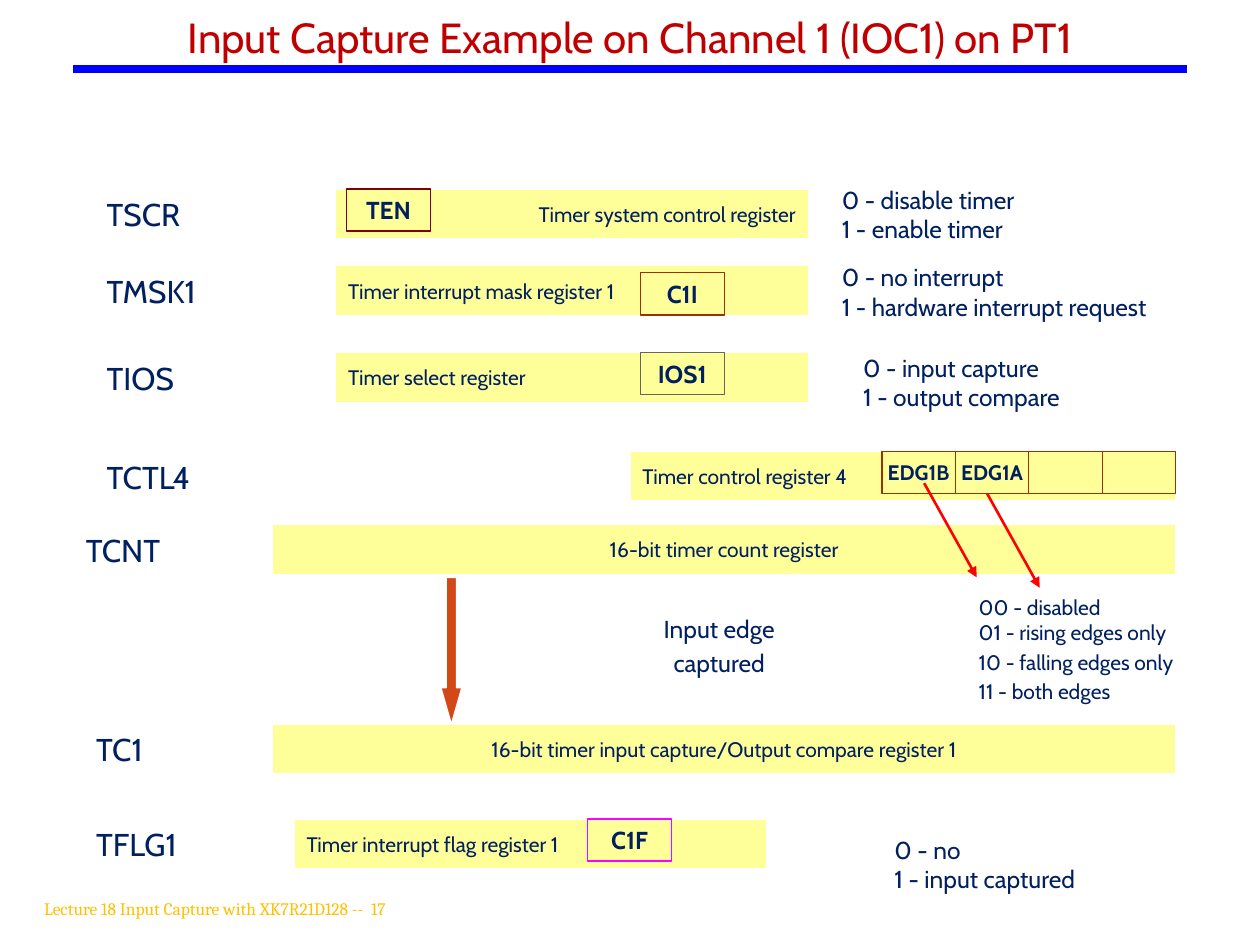
from lxml.etree import SubElement
from pptx import Presentation
from pptx.dml.color import RGBColor
from pptx.enum.shapes import MSO_CONNECTOR, MSO_SHAPE
from pptx.enum.text import MSO_ANCHOR, PP_ALIGN
from pptx.oxml.ns import qn
from pptx.util import Cm, Pt

NAVY, YELLOW, WHITE, BROWN, RED = "002060", "FFFF99", "FFFFFF", "993300", "FF0000"
LEFT, CENTER, RIGHT = PP_ALIGN.LEFT, PP_ALIGN.CENTER, PP_ALIGN.RIGHT
BAR_HEIGHT, FIELD_HEIGHT = 1.0, 0.85
FIELD_WIDTH, BIT_WIDTH = 1.69, 1.48

TITLE = "Input Capture Example on Channel 1 (IOC1) on PT1"
FOOTER = "Lecture 18 Input Capture with XK7R21D128 --  17"

# top, (name, left, width), (description, left, width, alignment)
REGISTERS = [
    (3.81, ("TSCR", 1.9, 2.0), ("Timer system control register", 6.77, 9.53, RIGHT)),
    (5.36, ("TMSK1", 1.9, 2.44), ("Timer interrupt mask register 1", 6.77, 9.53, LEFT)),
    (7.11, ("TIOS", 1.9, 1.93), ("Timer select register", 6.77, 9.53, LEFT)),
    (9.1, ("TCTL4", 1.9, 2.29), ("Timer control register 4", 12.7, 11.0, LEFT)),
    (10.58, ("TCNT", 1.48, 2.06), ("16-bit timer count register", 5.5, 18.2, CENTER)),
    (14.6, ("TC1", 1.69, 1.6),
     ("16-bit timer input capture/Output compare register 1", 5.5, 18.2, CENTER)),
    (16.51, ("TFLG1", 1.69, 2.31), ("Timer interrupt flag register 1", 5.93, 9.53, LEFT)),
]

# name, left, top, outline
FIELDS = [
    ("TEN", 6.99, 3.81, "800000"),
    ("C1I", 12.91, 5.5, BROWN),
    ("IOS1", 12.91, 7.11, "696464"),
    ("C1F", 11.85, 16.51, "FF00FF"),
]
EDGE_BITS = ["EDG1B", "EDG1A", "", ""]
EDGE_BITS_LEFT, EDGE_BITS_TOP = 17.78, 9.1

# paragraphs, left, top, width, height, size
NOTES = [
    (["0 - disable timer\n1 - enable timer"], 16.72, 3.6, 4.11, 1.45, 14),
    (["0 - no interrupt\n1 - hardware interrupt request"], 16.72, 5.16, 7.19, 1.45, 14),
    (["0 - input capture\n1 - output compare"], 17.15, 6.99, 4.78, 1.45, 14),
    (["00 - disabled\n01 - rising edges only", "10 - falling edges only", "11 - both edges"],
     19.48, 11.86, 4.7, 2.51, 12),
    (["0 - no\n1 - input captured"], 17.78, 16.71, 4.47, 1.45, 14),
]
EDGE_ARROWS = [(18.63, 9.74, 19.69, 11.64), (19.9, 9.95, 20.96, 11.85)]


def color(hex_string):
    return RGBColor.from_string(hex_string)


def box(left, top, width, height):
    return Cm(left), Cm(top), Cm(width), Cm(height)


def write(shape, paragraphs, size, align=LEFT, bold=False, ink=NAVY, font="Cabin",
          anchor=MSO_ANCHOR.MIDDLE, gap=0.2):
    """Fill a shape with paragraphs; gap is the space before, as a share of the size."""
    frame = shape.text_frame
    frame.word_wrap = False
    frame.vertical_anchor = anchor
    for i, text in enumerate(paragraphs):
        paragraph = frame.add_paragraph() if i else frame.paragraphs[0]
        paragraph.text = text.replace("\n", "\v")
        paragraph.alignment = align
        paragraph.space_before = Pt(size * gap)
        paragraph.font.size = Pt(size)
        paragraph.font.name = font
        paragraph.font.bold = bold
        paragraph.font.color.rgb = color(ink)


def add_text(slide, place, paragraphs, size, **style):
    text_box = slide.shapes.add_textbox(*box(*place))
    write(text_box, paragraphs, size, **style)
    return text_box


def add_block(slide, kind, place, fill=None, outline=WHITE):
    block = slide.shapes.add_shape(kind, *box(*place))
    block.shadow.inherit = False
    if fill:
        block.fill.solid()
        block.fill.fore_color.rgb = color(fill)
    else:
        block.fill.background()
    block.line.color.rgb = color(outline)
    block.line.width = Pt(0.75)
    return block


def add_line(slide, ends, ink, width, arrow=False):
    line = slide.shapes.add_connector(MSO_CONNECTOR.STRAIGHT, *map(Cm, ends))
    line.line.color.rgb = color(ink)
    line.line.width = Pt(width)
    if arrow:
        SubElement(line.line._get_or_add_ln(), qn("a:tailEnd"), type="triangle")
    SubElement(line._element.spPr, qn("a:effectLst"))


def add_field(slide, name, left, top, width, outline, size):
    field = add_block(slide, MSO_SHAPE.RECTANGLE, (left, top, width, FIELD_HEIGHT),
                      outline=outline)
    if name:
        write(field, [name], size, CENTER, bold=True)


def main():
    presentation = Presentation()
    presentation.slide_width, presentation.slide_height = Cm(25.4), Cm(19.05)
    slide = presentation.slides.add_slide(presentation.slide_layouts[6])

    add_line(slide, (1.48, 1.4, 23.92, 1.4), "0000FF", 4.5)
    title = add_text(slide, (1.06, 0.4, 23.28, 0.86), [TITLE], 24,
                     align=CENTER, ink="C00000", gap=0)
    title.text_frame.word_wrap = True
    title.text_frame.paragraphs[0].line_spacing = 0.85

    for top, (name, name_left, name_width), (description, left, width, align) in REGISTERS:
        add_text(slide, (name_left, top, name_width, 1.02), [name], 18, anchor=MSO_ANCHOR.TOP)
        bar = add_block(slide, MSO_SHAPE.RECTANGLE, (left, top, width, BAR_HEIGHT), YELLOW)
        write(bar, [description], 12, align)

    for name, left, top, outline in FIELDS:
        add_field(slide, name, left, top, FIELD_WIDTH, outline, 14)
    for i, name in enumerate(EDGE_BITS):
        add_field(slide, name, EDGE_BITS_LEFT + i * BIT_WIDTH, EDGE_BITS_TOP,
                  BIT_WIDTH, BROWN, 12)

    for paragraphs, *place, size in NOTES:
        add_text(slide, place, paragraphs, size, anchor=MSO_ANCHOR.TOP)

    decision = add_block(slide, MSO_SHAPE.FLOWCHART_DECISION, (12.49, 11.85, 4.02, 2.33))
    write(decision, ["Input edge", "captured"], 14, CENTER)
    capture_arrow = add_block(slide, MSO_SHAPE.DOWN_ARROW, (8.89, 11.64, 0.42, 2.96), "D34817")
    capture_arrow.adjustments[0] = 0.5
    capture_arrow.adjustments[1] = 1.75
    for ends in EDGE_ARROWS:
        add_line(slide, ends, RED, 1.5, arrow=True)

    add_text(slide, (0.64, 18.03, 9.1, 0.58), [FOOTER], 10,
             ink="FFC000", font="Cambria", gap=0)
    presentation.save("out.pptx")


if __name__ == "__main__":
    main()
